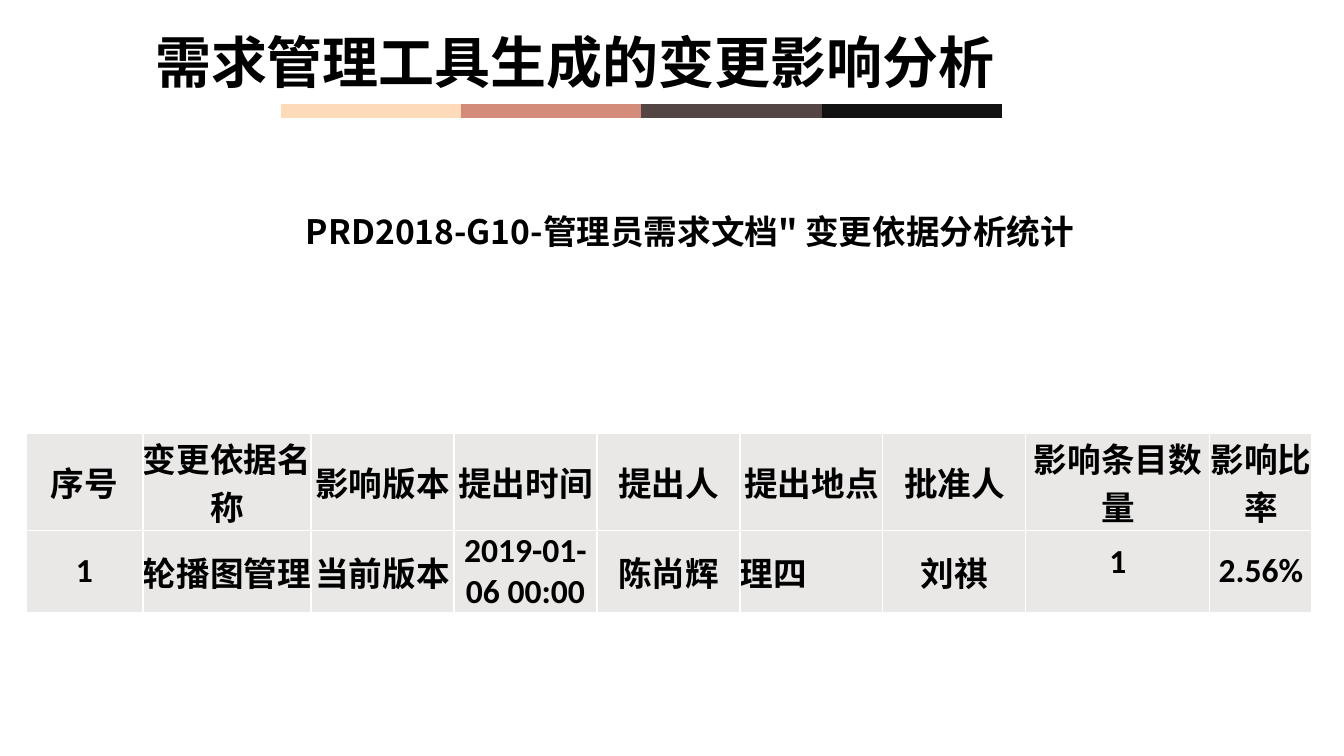
from pptx import Presentation
from pptx.dml.color import RGBColor
from pptx.enum.shapes import MSO_CONNECTOR
from pptx.enum.text import MSO_ANCHOR, MSO_AUTO_SIZE, PP_ALIGN
from pptx.oxml.ns import qn
from pptx.util import Pt
from lxml import etree

PX = 12192000 / 1344
LINE = MSO_CONNECTOR.STRAIGHT
TOP, MID = MSO_ANCHOR.TOP, MSO_ANCHOR.MIDDLE
LEFT, MIDDLE, JUSTIFY = PP_ALIGN.LEFT, PP_ALIGN.CENTER, PP_ALIGN.JUSTIFY
FIXED = MSO_AUTO_SIZE.NONE

BLACK = RGBColor(0x00, 0x00, 0x00)
GREY = RGBColor(0xEA, 0xE8, 0xE7)
PEACH = RGBColor(0xFD, 0xDA, 0xB8)
ROSE = RGBColor(0xD2, 0x8C, 0x79)
BROWN = RGBColor(0x53, 0x45, 0x44)
COAL = RGBColor(0x12, 0x12, 0x12)

HEAD = ("序号", "变更依据名称", "影响版本", "提出时间", "提出人",
        "提出地点", "批准人", "影响条目数量", "影响比率")
ITEM = ("1", "轮播图管理", "当前版本", "2019-01-06 00:00", "陈尚辉",
        "理四", "刘祺", "1", "2.56%")
COLS = (117, 168, 143, 143, 143, 143, 143, 184, 102)
ROW = 73


def px(n):
    return round(n * PX)


def style(par, face, size, align):
    par.alignment = align
    for run in par.runs:
        run.font.name = face
        run.font.size = Pt(size)
        run.font.bold = True
        run.font.color.rgb = BLACK


def add_bar(slide, x, y, width):
    """Four-colour rule under the title."""
    step = width / 4
    for i, tint in enumerate((PEACH, ROSE, BROWN, COAL)):
        start = x + i * step
        line = slide.shapes.add_connector(
            LINE, px(start), px(y), px(start + step), px(y))
        line.line.color.rgb = tint
        line.line.width = Pt(10)
        etree.SubElement(line._element.spPr, qn("a:effectLst"))


def add_title(slide, x, y, w, h):
    title = slide.shapes.title
    title.left, title.top, title.width, title.height = map(px, (x, y, w, h))
    frame = title.text_frame
    frame.text = "需求管理工具生成的变更影响分析"
    frame.auto_size = FIXED
    frame.vertical_anchor = TOP
    par = frame.paragraphs[0]
    par.line_spacing = 0.9
    style(par, "TeX Gyre Adventor", 40, LEFT)


def add_caption(slide, x, y, w, h):
    frame = slide.shapes.add_textbox(*map(px, (x, y, w, h))).text_frame
    frame.word_wrap = True
    frame.vertical_anchor = MID
    frame.margin_right = px(20)
    frame.margin_bottom = px(47)
    frame.text = "PRD2018-G10-管理员需求文档\" 变更依据分析统计"
    style(frame.paragraphs[0], "Noto Sans CJK SC", 24, LEFT)


def add_edges(cell):
    """White hairlines on all four sides, placed before the fill."""
    props = cell._tc.get_or_add_tcPr()
    for i, side in enumerate(("lnL", "lnR", "lnT", "lnB")):
        edge = etree.Element(qn("a:" + side), w=str(Pt(1)))
        fill = etree.SubElement(edge, qn("a:solidFill"))
        etree.SubElement(fill, qn("a:srgbClr"), val="FFFFFF")
        props.insert(i, edge)


def add_grid(slide, x, y):
    """Impact table: heading row and one change."""
    rows = (HEAD, ITEM)
    table = slide.shapes.add_table(
        len(rows), len(COLS), px(x), px(y),
        px(sum(COLS)), px(ROW * len(rows))).table
    for col, width in zip(table.columns, COLS):
        col.width = px(width)
    for r, row in enumerate(rows):
        table.rows[r].height = px(ROW)
        for c, text in enumerate(row):
            cell = table.cell(r, c)
            cell.text = text
            cell.vertical_anchor = MID
            cell.margin_left = cell.margin_right = 0
            cell.margin_top = cell.margin_bottom = 0
            cell.fill.solid()
            cell.fill.fore_color.rgb = GREY
            add_edges(cell)
            align = JUSTIFY if r == 1 and c in (1, 5) else MIDDLE
            style(cell.text_frame.paragraphs[0], "Calibri", 24, align)
    # The count sits high in its cell
    table.cell(1, 7).text_frame.paragraphs[0].line_spacing = Pt(16)


def main():
    deck = Presentation()
    deck.slide_width, deck.slide_height = px(1344), px(756)
    slide = deck.slides.add_slide(deck.slide_layouts[5])
    add_bar(slide, 281, 111, 721)
    add_title(slide, 145, 30, 1033, 40)
    add_grid(slide, 26, 433)
    add_caption(slide, 296, 206, 810, 92)
    deck.save("out.pptx")


if __name__ == "__main__":
    main()
